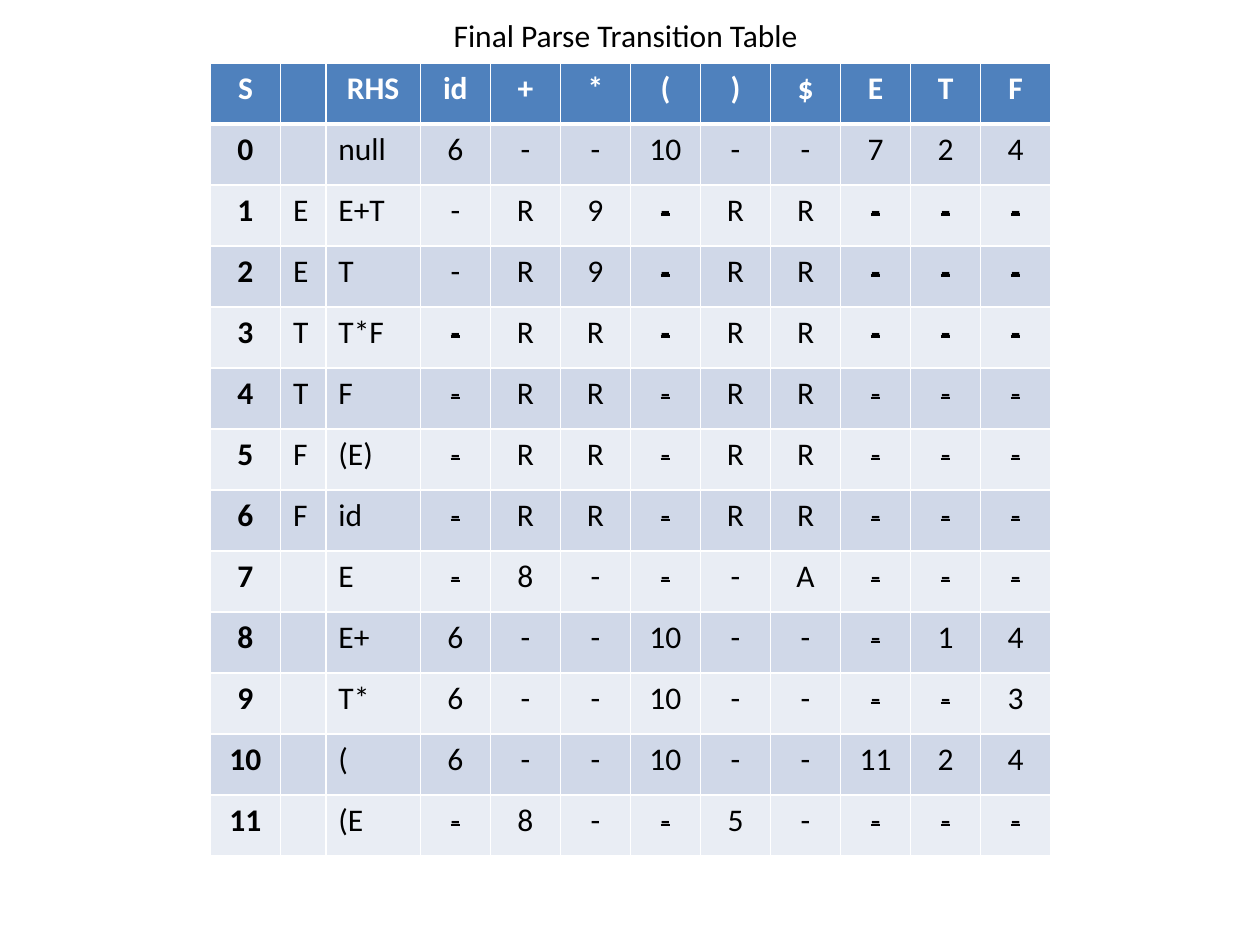
from lxml.etree import SubElement
from pptx import Presentation
from pptx.dml.color import RGBColor
from pptx.enum.text import MSO_ANCHOR, MSO_AUTO_SIZE, PP_ALIGN
from pptx.oxml.ns import qn
from pptx.util import Inches, Pt

COLORS = {
    "header": "4F81BD",
    "band_dark": "D0D8E8",
    "band_light": "E9EDF4",
    "white": "FFFFFF",
    "black": "000000",
}

# One row per state; "_" is an empty cell, "~" a struck-through dash
TRANSITIONS = """
S  _ RHS  id + * (  ) $ E  T F
0  _ null 6  - - 10 - - 7  2 4
1  E E+T  -  R 9 ~  R R ~  ~ ~
2  E T    -  R 9 ~  R R ~  ~ ~
3  T T*F  ~  R R ~  R R ~  ~ ~
4  T F    ~  R R ~  R R ~  ~ ~
5  F (E)  ~  R R ~  R R ~  ~ ~
6  F id   ~  R R ~  R R ~  ~ ~
7  _ E    ~  8 - ~  - A ~  ~ ~
8  _ E+   6  - - 10 - - ~  1 4
9  _ T*   6  - - 10 - - ~  ~ 3
10 _ (    6  - - 10 - - 11 2 4
11 _ (E   ~  8 - ~  5 - ~  ~ ~
"""
RULE_COLUMNS = {1: 0.36, 2: 0.75}  # left-hand side and RHS widths


class SlideBuilder:
    font_name = "Calibri"
    font_size = Pt(18)

    def __init__(self, slide):
        self.slide = slide

    def style_run(self, run, color, bold=False, strike=False):
        run.font.name = self.font_name
        run.font.size = self.font_size
        run.font.bold = bold
        run.font.color.rgb = RGBColor.from_string(COLORS[color])
        if strike:
            run.font._element.set("strike", "sngStrike")

    def title(self, text, left, top, width, height):
        heading = self.slide.shapes.title
        heading.left, heading.top = Inches(left), Inches(top)
        heading.width, heading.height = Inches(width), Inches(height)
        frame = heading.text_frame
        frame.text = text
        frame.word_wrap = False
        frame.auto_size = MSO_AUTO_SIZE.SHAPE_TO_FIT_TEXT
        frame.vertical_anchor = MSO_ANCHOR.TOP
        frame.paragraphs[0].alignment = PP_ALIGN.LEFT
        self.style_run(frame.paragraphs[0].runs[0], "black")

    def borders(self, cell, **widths):
        properties = cell._tc.get_or_add_tcPr()
        for side in "LRTB":
            line = SubElement(properties, qn(f"a:ln{side}"), w=str(Pt(widths.get(side, 1))))
            fill = SubElement(line, qn("a:solidFill"))
            SubElement(fill, qn("a:srgbClr"), val=COLORS["white"])

    def cell(self, cell, token, row, column):
        is_header = row == 0
        # Borders, with a heavy rule below the header
        self.borders(cell, **({0: {"B": 3}, 1: {"T": 3}}.get(row, {})))
        band = "header" if is_header else "band_dark" if row % 2 else "band_light"
        cell.fill.solid()
        cell.fill.fore_color.rgb = RGBColor.from_string(COLORS[band])
        # Text
        if token == "_":
            return
        cell.text_frame.text = "-" if token == "~" else token
        paragraph = cell.text_frame.paragraphs[0]
        centered = is_header or column not in RULE_COLUMNS
        paragraph.alignment = PP_ALIGN.CENTER if centered else PP_ALIGN.LEFT
        self.style_run(paragraph.runs[0], "white" if is_header else "black",
                       bold=is_header or column == 0, strike=token == "~")

    def table(self, rows, left, top, width, height):
        column_count = len(rows[0])
        table = self.slide.shapes.add_table(
            len(rows), column_count, Inches(left), Inches(top),
            Inches(width), Inches(height)).table
        table.horz_banding = False
        symbol_width = ((width - sum(RULE_COLUMNS.values()))
                        / (column_count - len(RULE_COLUMNS)))
        for index, column in enumerate(table.columns):
            column.width = Inches(RULE_COLUMNS.get(index, symbol_width))
        for row, tokens in enumerate(rows):
            for column, token in enumerate(tokens):
                self.cell(table.cell(row, column), token, row, column)


def main():
    deck = Presentation()
    deck.slide_width, deck.slide_height = Inches(10), Inches(7.5)
    builder = SlideBuilder(deck.slides.add_slide(deck.slide_layouts[5]))

    # Heading
    builder.title("Final Parse Transition Table", 3.5, 0.08, 2.96, 0.4)

    # Parse table
    rows = [line.split() for line in TRANSITIONS.strip().splitlines()]
    builder.table(rows, 1.67, 0.5, 6.67, 6.3)

    deck.save("out.pptx")


if __name__ == "__main__":
    main()
